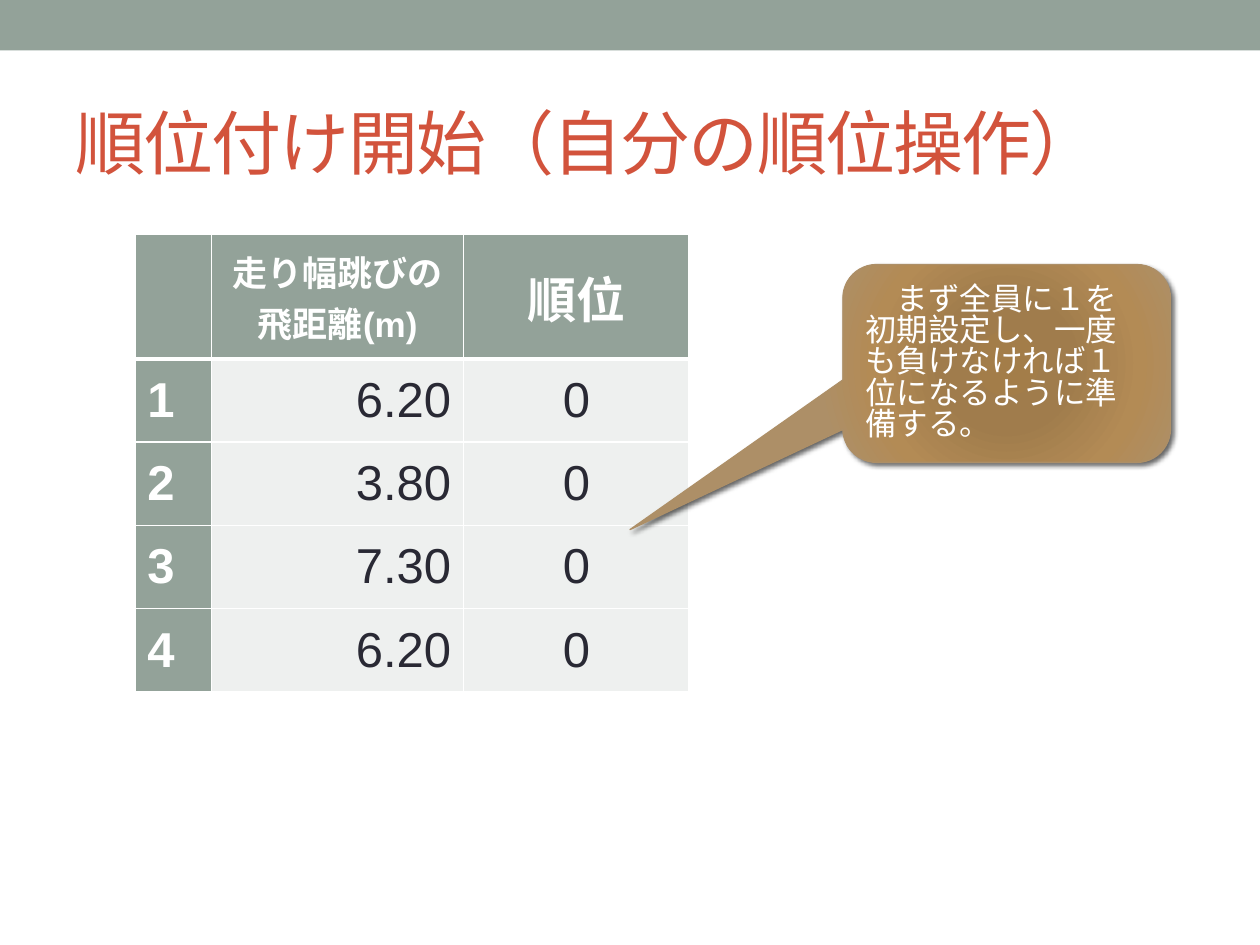
import dataclasses
import typing

import lxml.etree
import pptx
import pptx.dml.color
import pptx.enum.shapes
import pptx.enum.text
import pptx.oxml.ns
import pptx.util

Inches = pptx.util.Inches
Pt = pptx.util.Pt
ALIGN = pptx.enum.text.PP_ALIGN
MIDDLE = pptx.enum.text.MSO_ANCHOR.MIDDLE
SHAPE = pptx.enum.shapes.MSO_SHAPE
qn = pptx.oxml.ns.qn


@dataclasses.dataclass(frozen=True)
class Theme:
    font: str = "Arial"
    sage: str = "93A299"
    pale: str = "EEF0EF"
    white: str = "FFFFFF"
    ink: str = "292934"
    red: str = "D2533C"
    tan: str = "AD8F67"
    callout_stops: tuple = ((0, "A37D49"), (34, "A07C4C"), (70, "B38B55"), (100, "AD8F67"))
    title_size: int = 40
    table_size: int = 28
    heading_size: int = 20
    callout_size: int = 18


THEME = Theme()


@dataclasses.dataclass(frozen=True)
class TextStyle:
    size: int
    color: str
    bold: bool = False
    align: typing.Any = ALIGN.LEFT


@dataclasses.dataclass(frozen=True)
class Jump:
    number: str
    distance: str
    rank: str = "0"


JUMPS = [Jump("1", "6.20"), Jump("2", "3.80"), Jump("3", "7.30"), Jump("4", "6.20")]


def rgb(color: str):
    return pptx.dml.color.RGBColor.from_string(color)


def add_element(parent, tag: str, **attributes):
    element = lxml.etree.SubElement(parent, qn(tag))
    for key, value in attributes.items():
        element.set(key, str(value))
    return element


def write_text(frame, text: str, style: TextStyle) -> None:
    frame.word_wrap = True
    frame.vertical_anchor = MIDDLE
    frame.text = text
    for paragraph in frame.paragraphs:
        paragraph.alignment = style.align
        font = paragraph.font
        font.name, font.size, font.bold = THEME.font, Pt(style.size), style.bold
        font.color.rgb = rgb(style.color)


def style_cell(cell, fill: str, bottom_width: int = 1, top_width: int = 1) -> None:
    properties = cell._tc.get_or_add_tcPr()
    widths = {"a:lnL": 1, "a:lnR": 1, "a:lnT": top_width, "a:lnB": bottom_width}
    for tag, width in widths.items():
        border = add_element(properties, tag, w=int(Pt(width)))
        add_element(add_element(border, "a:solidFill"), "a:srgbClr", val=THEME.white)
    cell.fill.solid()
    cell.fill.fore_color.rgb = rgb(fill)


def add_band(slide) -> None:
    band = slide.shapes.add_shape(SHAPE.RECTANGLE, 0, 0, Inches(10), Inches(0.4))
    band.shadow.inherit = False
    band.fill.solid()
    band.fill.fore_color.rgb = rgb(THEME.sage)
    band.line.fill.background()


def add_ranking(slide, jumps: list[Jump]) -> None:
    frame = slide.shapes.add_table(
        len(jumps) + 1, 3, Inches(1.07), Inches(1.86), Inches(4.4), Inches(3.65))
    table = frame.table
    table.horz_banding = False
    for column, width in zip(table.columns, (0.61, 2, 1.79)):
        column.width = Inches(width)
    for index, row in enumerate(table.rows):
        row.height = Inches(0.66 if index else 0.99)

    # Header row
    heading = TextStyle(THEME.heading_size, THEME.white, True, ALIGN.CENTER)
    rank_heading = dataclasses.replace(heading, size=THEME.table_size)
    for column in range(3):
        style_cell(table.cell(0, column), THEME.sage, bottom_width=3)
    for column, text, style in ((1, "走り幅跳びの\n飛距離(m)", heading),
                                (2, "順位", rank_heading)):
        cell = table.cell(0, column)
        write_text(cell.text_frame, text, style)
        cell.vertical_anchor = MIDDLE

    # One row per jump
    columns = (
        (THEME.sage, TextStyle(THEME.table_size, THEME.white, True)),
        (THEME.pale, TextStyle(THEME.table_size, THEME.ink, align=ALIGN.RIGHT)),
        (THEME.pale, TextStyle(THEME.table_size, THEME.ink, align=ALIGN.CENTER)),
    )
    for row, jump in enumerate(jumps, start=1):
        for column, (text, (fill, style)) in enumerate(
                zip(dataclasses.astuple(jump), columns)):
            cell = table.cell(row, column)
            style_cell(cell, fill, top_width=3 if row == 1 else 1)
            write_text(cell.text_frame, text, style)
            cell.vertical_anchor = MIDDLE


def add_callout(slide, text: str) -> None:
    callout = slide.shapes.add_shape(
        SHAPE.ROUNDED_RECTANGULAR_CALLOUT, Inches(6.69), Inches(2.1), Inches(2.6), Inches(1.57))
    for index, value in enumerate((-1.15, 0.84, 0.17)):
        callout.adjustments[index] = value
    callout.line.color.rgb = rgb(THEME.tan)
    callout.line.width = Pt(0.75)
    callout.shadow.inherit = False
    properties = callout._element.spPr

    # Circular gradient
    gradient = add_element(properties, "a:gradFill", rotWithShape=1)
    stops = add_element(gradient, "a:gsLst")
    for position, color in THEME.callout_stops:
        stop = add_element(stops, "a:gs", pos=position * 1000)
        add_element(stop, "a:srgbClr", val=color)
    circle = add_element(gradient, "a:path", path="circle")
    add_element(circle, "a:fillToRect", l=100000, t=100000, r=100000, b=100000)
    properties.find(qn("a:ln")).addprevious(gradient)

    # Soft shadow
    shadow = add_element(properties.find(qn("a:effectLst")), "a:outerShdw",
                         blurRad=int(Pt(3)), dist=int(Pt(2)), dir=45 * 60000, rotWithShape=0)
    add_element(add_element(shadow, "a:srgbClr", val="000000"), "a:alpha", val=60000)

    frame = callout.text_frame
    write_text(frame, text, TextStyle(THEME.callout_size, THEME.white))
    frame.margin_right = Inches(0.15)
    frame.paragraphs[0].line_spacing = 0.83


def add_title(slide, text: str) -> None:
    title = slide.shapes.add_textbox(Inches(0.5), Inches(0.58), Inches(9), Inches(1.08))
    write_text(title.text_frame, text, TextStyle(THEME.title_size, THEME.red))
    for run in title.text_frame.paragraphs[0].runs:
        run.font._element.set("spc", "-100")


def main() -> None:
    presentation = pptx.Presentation()
    presentation.slide_width, presentation.slide_height = Inches(10), Inches(7.5)
    slide = presentation.slides.add_slide(presentation.slide_layouts[6])
    add_band(slide)
    add_ranking(slide, JUMPS)
    add_callout(slide, "　まず全員に１を初期設定し、一度も負けなければ１位になるように準備する。")
    add_title(slide, "順位付け開始（自分の順位操作）")
    presentation.save("out.pptx")


if __name__ == "__main__":
    main()
